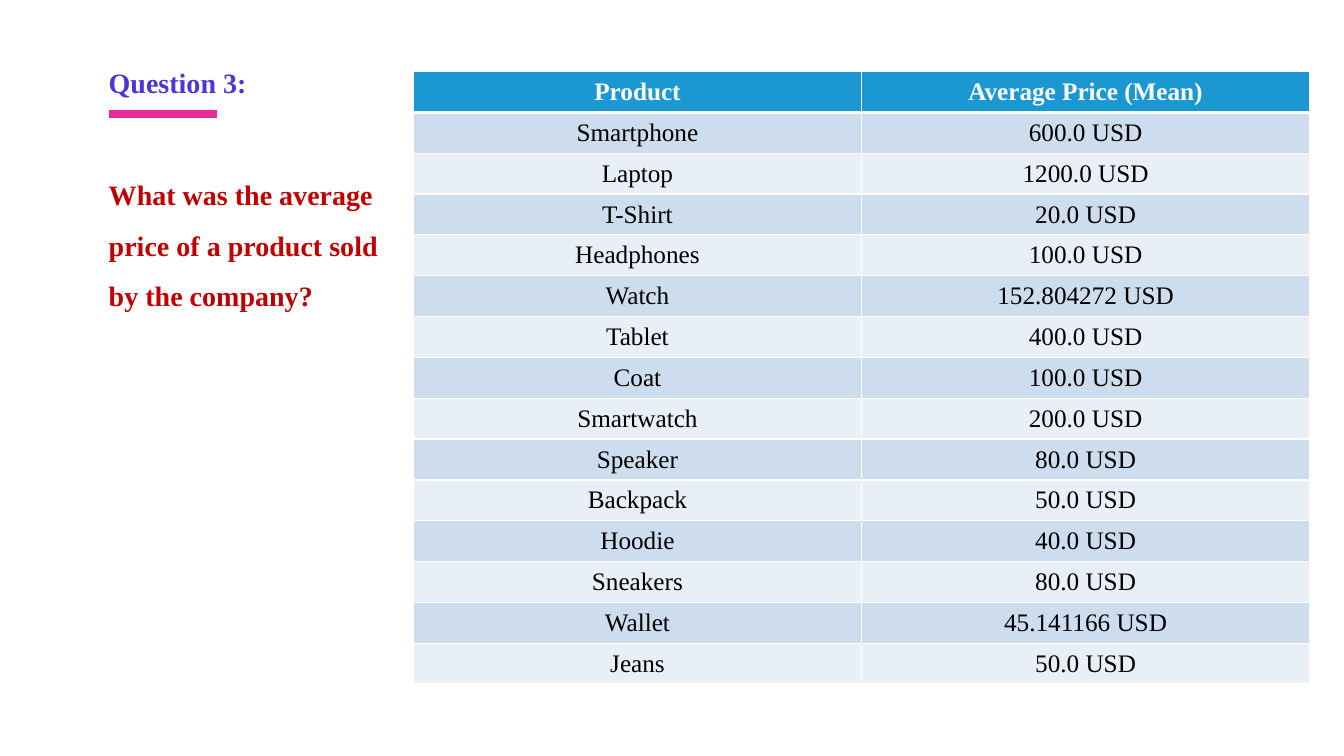
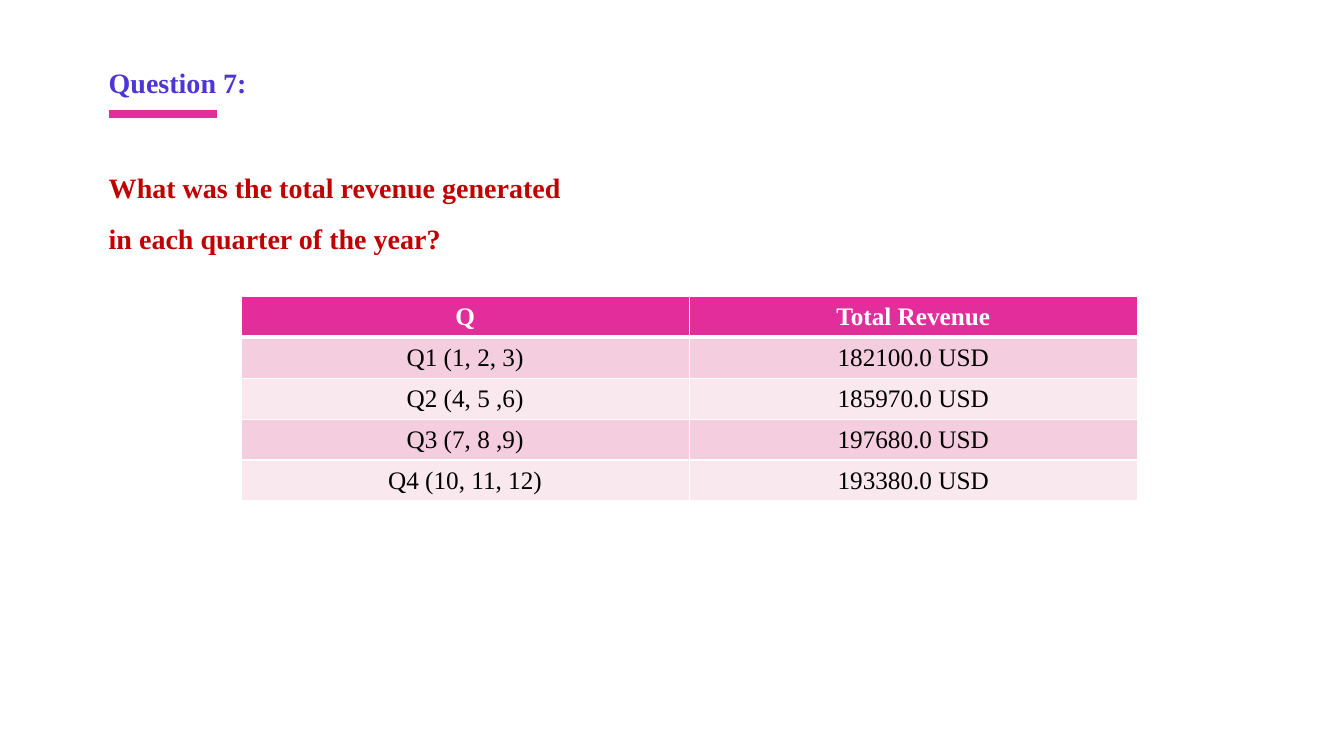
from lxml.etree import SubElement
from pptx import Presentation
from pptx.dml.color import RGBColor as Rgb
from pptx.enum.shapes import MSO_CONNECTOR as Connector
from pptx.enum.text import MSO_ANCHOR as Anchor, MSO_AUTO_SIZE as AutoSize, PP_ALIGN as Align
from pptx.oxml.ns import qn
from pptx.util import Inches, Pt

FONT = "Times New Roman"
COLORS = {
    "title": "4E36D6", "question": "C00000", "accent": "E32D9B",
    "white": "FFFFFF", "black": "000000",
    "blue": "1B98D1", "blue_dark": "CDDDEE", "blue_light": "E8EFF7",
    "pink": "E32D9B", "pink_dark": "F4CDDE", "pink_light": "FAE8EF",
}
TEXT_LEFT = 0.98
TABLE_WIDTH = 8.89

PRICES = [
    ("Product", "Average Price (Mean)"),
    ("Smartphone", "600.0 USD"),
    ("Laptop", "1200.0 USD"),
    ("T-Shirt", "20.0 USD"),
    ("Headphones", "100.0 USD"),
    ("Watch", "152.804272 USD"),
    ("Tablet", "400.0 USD"),
    ("Coat", "100.0 USD"),
    ("Smartwatch", "200.0 USD"),
    ("Speaker", "80.0 USD"),
    ("Backpack", "50.0 USD"),
    ("Hoodie", "40.0 USD"),
    ("Sneakers", "80.0 USD"),
    ("Wallet", "45.141166 USD"),
    ("Jeans", "50.0 USD"),
]
REVENUE = [
    ("Q", "Total Revenue"),
    ("Q1 (1, 2, 3)", "182100.0 USD"),
    ("Q2 (4, 5 ,6)", "185970.0 USD"),
    ("Q3 (7, 8 ,9)", "197680.0 USD"),
    ("Q4 (10, 11, 12)", "193380.0 USD"),
]


def color(name):
    """Return the palette colour called name."""
    return Rgb.from_string(COLORS[name])


def add_run(paragraph, text, size, color_name, bold):
    """Append one styled run to a paragraph."""
    run = paragraph.add_run()
    run.text = text
    run.font.name = FONT
    run.font.size = Pt(size)
    run.font.bold = bold
    run.font.color.rgb = color(color_name)


def add_text(slide, text, top, width, height, color_name, spacing=1.0):
    """Add a bold wrapped text box at the common left edge."""
    box = slide.shapes.add_textbox(Inches(TEXT_LEFT), Inches(top), Inches(width), Inches(height))
    frame = box.text_frame
    frame.word_wrap = True
    frame.auto_size = AutoSize.SHAPE_TO_FIT_TEXT
    frame.paragraphs[0].line_spacing = spacing
    add_run(frame.paragraphs[0], text, 20, color_name, True)


def add_heading(slide, text):
    """Add the question number and the accent rule below it."""
    rule = slide.shapes.add_connector(
        Connector.STRAIGHT, Inches(1.08), Inches(1.13), Inches(2.15), Inches(1.13))
    rule.line.color.rgb = color("accent")
    rule.line.width = Pt(6)
    SubElement(rule._element.spPr, qn("a:effectLst"))
    add_text(slide, text, 0.6, 1.6, 0.44, "title")


def set_borders(cell, top, bottom):
    """Give a cell white borders, with top and bottom widths in points."""
    properties = cell._tc.get_or_add_tcPr()
    for side, width in (("L", 1), ("R", 1), ("T", top), ("B", bottom)):
        border = SubElement(properties, qn(f"a:ln{side}"), w=str(Pt(width)))
        fill = SubElement(border, qn("a:solidFill"))
        SubElement(fill, qn("a:srgbClr"), val=COLORS["white"])


def add_banded_table(slide, rows, left, top, height, hue):
    """Add a centred table with a header and banded rows of one hue."""
    table = slide.shapes.add_table(
        len(rows), len(rows[0]), Inches(left), Inches(top),
        Inches(TABLE_WIDTH), Inches(height)).table
    bands = (f"{hue}_light", f"{hue}_dark")
    for row_index, values in enumerate(rows):
        header = row_index == 0
        table.rows[row_index].height = Inches(height / len(rows))
        for column, value in enumerate(values):
            cell = table.cell(row_index, column)
            set_borders(cell, 3 if row_index == 1 else 1, 3 if header else 1)
            cell.fill.solid()
            cell.fill.fore_color.rgb = color(hue if header else bands[row_index % 2])
            cell.vertical_anchor = Anchor.MIDDLE
            paragraph = cell.text_frame.paragraphs[0]
            paragraph.alignment = Align.CENTER
            add_run(paragraph, value, 18, "white" if header else "black", header)


def add_question_slide(deck, number):
    """Add a blank slide headed with the question number."""
    slide = deck.slides.add_slide(deck.slide_layouts[6])
    add_heading(slide, f"Question {number}:")
    return slide


def main():
    """Build and save the two question slides."""
    deck = Presentation()
    deck.slide_width, deck.slide_height = Inches(13.33), Inches(7.5)

    price_slide = add_question_slide(deck, 3)
    add_banded_table(price_slide, PRICES, 4.1, 0.71, 6.08, "blue")
    add_text(price_slide, "What was the average price of a product sold by the company?",
             1.55, 3.12, 1.56, "question", 1.5)

    revenue_slide = add_question_slide(deck, 7)
    add_text(revenue_slide, "What was the total revenue generated in each quarter of the year?",
             1.48, 4.71, 1.05, "question", 1.5)
    add_banded_table(revenue_slide, REVENUE, 2.39, 2.94, 2.03, "pink")

    deck.save("out.pptx")


if __name__ == "__main__":
    main()
